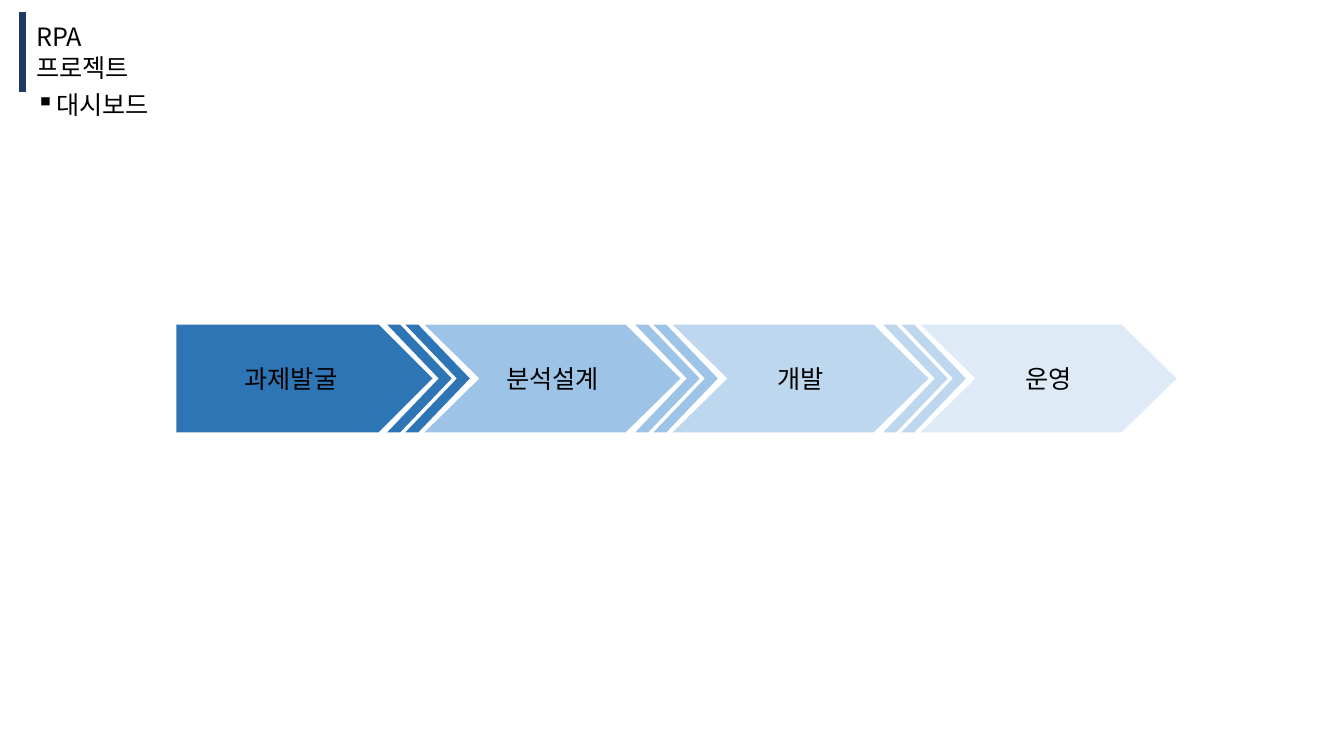
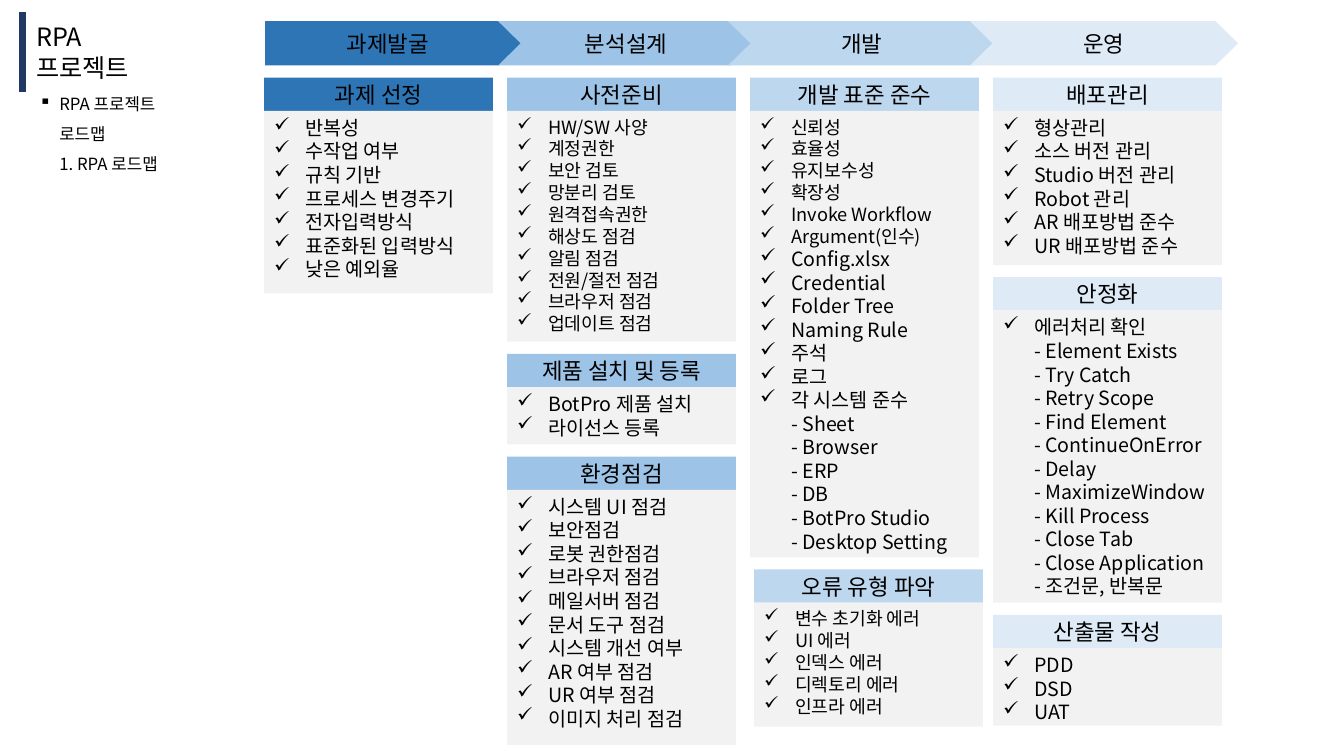
import pptx
import pptx.util
import pptx.dml.color
import pptx.enum.shapes
import pptx.enum.text
import pptx.oxml.ns
from dataclasses import dataclass
from lxml import etree

Inches = pptx.util.Inches
Pt = pptx.util.Pt
qn = pptx.oxml.ns.qn
SHAPE = pptx.enum.shapes.MSO_SHAPE
ANCHOR = pptx.enum.text.MSO_ANCHOR
ALIGN = pptx.enum.text.PP_ALIGN


@dataclass(frozen=True)
class Theme:
    font: str = "Noto Sans CJK KR"
    text: str = "000000"
    accent: str = "203864"
    panel: str = "F2F2F2"
    stages: tuple = ("2E75B6", "9DC3E6", "BDD7EE", "DEEBF7")
    title: int = 18
    heading: int = 16
    item: int = 14
    small_item: int = 13
    caption: int = 12


THEME = Theme()

PROJECT = "RPA\v프로젝트"
STAGES = ["과제발굴", "분석설계", "개발", "운영"]
DASHBOARD = "대시보드"
ROADMAP = "RPA 프로젝트 로드맵\v1. RPA 로드맵"

# Each card: heading, panel height, number of leading small items, items.
# A nested tuple is an item followed by its sub-lines.
CARDS = [
    [
        ("과제 선정", 1.81, 0, [
            "반복성", "수작업 여부", "규칙 기반", "프로세스 변경주기",
            "전자입력방식", "표준화된 입력방식", "낮은 예외율"]),
    ],
    [
        ("사전준비", 2.29, 10, [
            "HW/SW 사양", "계정권한", "보안 검토", "망분리 검토",
            "원격접속권한", "해상도 점검", "알림 점검", "전원/절전 점검",
            "브라우저 점검", "업데이트 점검"]),
        ("제품 설치 및 등록", 0.57, 0, ["BotPro 제품 설치", "라이선스 등록"]),
        ("환경점검", 2.53, 0, [
            "시스템 UI 점검", "보안점검", "로봇 권한점검", "브라우저 점검",
            "메일서버 점검", "문서 도구 점검", "시스템 개선 여부",
            "AR 여부 점검", "UR 여부 점검", "이미지 처리 점검"]),
    ],
    [
        ("개발 표준 준수", 4.43, 6, [
            "신뢰성", "효율성", "유지보수성", "확장성", "Invoke Workflow",
            "Argument(인수)", "Config.xlsx", "Credential", "Folder Tree",
            "Naming Rule", "주석", "로그",
            ("각 시스템 준수", "- Sheet", "- Browser", "- ERP", "- DB",
             "- BotPro Studio", "- Desktop Setting")]),
        ("오류 유형 파악", 1.23, 5, [
            "변수 초기화 에러", "UI 에러", "인덱스 에러", "디렉토리 에러",
            "인프라 에러"]),
    ],
    [
        ("배포관리", 1.53, 0, [
            "형상관리", "소스 버전 관리", "Studio 버전 관리", "Robot 관리",
            "AR 배포방법 준수", "UR 배포방법 준수"]),
        ("안정화", 2.9, 0, [
            ("에러처리 확인", "- Element Exists", "- Try Catch",
             "- Retry Scope", "- Find Element", "- ContinueOnError",
             "- Delay", "- MaximizeWindow", "- Kill Process", "- Close Tab",
             "- Close Application", "- 조건문, 반복문")]),
        ("산출물 작성", 0.77, 0, ["PDD", "DSD", "UAT"]),
    ],
]
CARD_NUDGE = {"오류 유형 파악": 0.04}

ROADMAP_BANDS = [(2.63, 2.54), (4.94, 2.54), (7.22, 2.66), (9.62, 2.66)]
COLUMN_LEFT, COLUMN_PITCH, COLUMN_WIDTH = 2.62, 2.41, 2.27
CARD_TOP, HEADING_HEIGHT, CARD_GAP = 0.77, 0.33, 0.12

FLOW_LEFT, FLOW_TOP, FLOW_PITCH = 1.75, 3.22, 2.46
FLOW_WIDTH, FLOW_HEIGHT = 2.54, 1.07
STRIPE_OFFSETS, STRIPE_WIDTH = (2.09, 2.27), 0.64
STAGE_POINT, STRIPE_POINT = 0.51, 0.8


def rgb(color):
    return pptx.dml.color.RGBColor.from_string(color)


def style(paragraph, size, bullet=None, indent=0):
    """Set bullet, hanging indent and font; the bullet must precede the font."""
    if bullet:
        properties = paragraph._p.get_or_add_pPr()
        properties.set("marL", str(Inches(indent)))
        properties.set("indent", str(-Inches(indent)))
        etree.SubElement(properties, qn("a:buChar")).set("char", bullet)
    paragraph.font.size = Pt(size)
    paragraph.font.color.rgb = rgb(THEME.text)
    paragraph.font.name = THEME.font
    defaults = paragraph._p.pPr.find(qn("a:defRPr"))
    etree.SubElement(defaults, qn("a:ea")).set("typeface", THEME.font)


def add_block(slide, kind, box, color, label=None, size=None, point=None):
    """Add a flat filled shape with an optional centred label."""
    block = slide.shapes.add_shape(kind, *map(Inches, box))
    block.shadow.inherit = False
    block.fill.solid()
    block.fill.fore_color.rgb = rgb(color)
    block.line.fill.background()
    if point is not None:
        block.adjustments[0] = point
    if label:
        block.text_frame.vertical_anchor = ANCHOR.MIDDLE
        paragraph = block.text_frame.paragraphs[0]
        paragraph.text = label
        paragraph.alignment = ALIGN.CENTER
        style(paragraph, size)
    return block


def add_stage(slide, index, box, size):
    first = index == 0
    add_block(slide, SHAPE.PENTAGON if first else SHAPE.CHEVRON, box,
              THEME.stages[index], STAGES[index], size,
              0.5 if first else STAGE_POINT)


def add_text(slide, box, text, size, bullet=None, anchor=ANCHOR.TOP):
    frame = slide.shapes.add_textbox(*map(Inches, box)).text_frame
    frame.word_wrap = True
    frame.vertical_anchor = anchor
    paragraph = frame.paragraphs[0]
    paragraph.text = text
    style(paragraph, size, bullet, 0.2)
    return paragraph


def add_project_slide(deck):
    """Add a blank slide with the shared project title and its side bar."""
    slide = deck.slides.add_slide(deck.slide_layouts[6])
    bar = slide.shapes.add_connector(
        pptx.enum.shapes.MSO_CONNECTOR.STRAIGHT,
        *map(Inches, (0.22, 0.12, 0.22, 0.91)))
    bar.line.color.rgb = rgb(THEME.accent)
    bar.line.width = Pt(5)
    etree.SubElement(bar._element.spPr, qn("a:effectLst"))
    add_text(slide, (0.26, 0.16, 1.4, 0.71), PROJECT, THEME.title,
             anchor=ANCHOR.MIDDLE)
    return slide


def add_card(slide, left, top, color, card):
    """Add a heading over its checklist and return the bottom edge."""
    heading, height, small_count, items = card
    left += CARD_NUDGE.get(heading, 0)
    add_block(slide, SHAPE.RECTANGLE,
              (left, top, COLUMN_WIDTH, HEADING_HEIGHT),
              color, heading, THEME.heading)
    top += HEADING_HEIGHT
    panel = add_block(slide, SHAPE.RECTANGLE,
                      (left, top, COLUMN_WIDTH, height), THEME.panel)
    frame = panel.text_frame
    frame.vertical_anchor = ANCHOR.TOP
    for number, item in enumerate(items):
        paragraph = frame.add_paragraph() if number else frame.paragraphs[0]
        paragraph.text = item if isinstance(item, str) else "\v".join(item)
        paragraph.alignment = ALIGN.LEFT
        size = THEME.small_item if number < small_count else THEME.item
        style(paragraph, size, "✓", 0.31)
    return top + height


def build_dashboard(deck):
    slide = add_project_slide(deck)
    for index in range(len(STAGES)):
        left = FLOW_LEFT + index * FLOW_PITCH
        add_stage(slide, index, (left, FLOW_TOP, FLOW_WIDTH, FLOW_HEIGHT),
                  THEME.title)
        if index < len(STAGES) - 1:
            for offset in STRIPE_OFFSETS:
                add_block(slide, SHAPE.CHEVRON,
                          (left + offset, FLOW_TOP, STRIPE_WIDTH, FLOW_HEIGHT),
                          THEME.stages[index], point=STRIPE_POINT)
    add_text(slide, (0.26, 0.84, 1.4, 0.4), DASHBOARD, THEME.title, "▪")


def build_roadmap(deck):
    slide = add_project_slide(deck)
    caption = add_text(slide, (0.29, 0.78, 1.8, 0.98), ROADMAP,
                       THEME.caption, "▪")
    caption.line_spacing = 1.5
    for index, (left, width) in enumerate(ROADMAP_BANDS):
        add_stage(slide, index, (left, 0.21, width, 0.44), THEME.heading)
    for index, cards in enumerate(CARDS):
        top = CARD_TOP
        for card in cards:
            bottom = add_card(slide, COLUMN_LEFT + index * COLUMN_PITCH, top,
                              THEME.stages[index], card)
            top = bottom + CARD_GAP


def main():
    deck = pptx.Presentation()
    deck.slide_width, deck.slide_height = Inches(13.33), Inches(7.5)
    build_dashboard(deck)
    build_roadmap(deck)
    deck.save("out.pptx")


if __name__ == "__main__":
    main()
